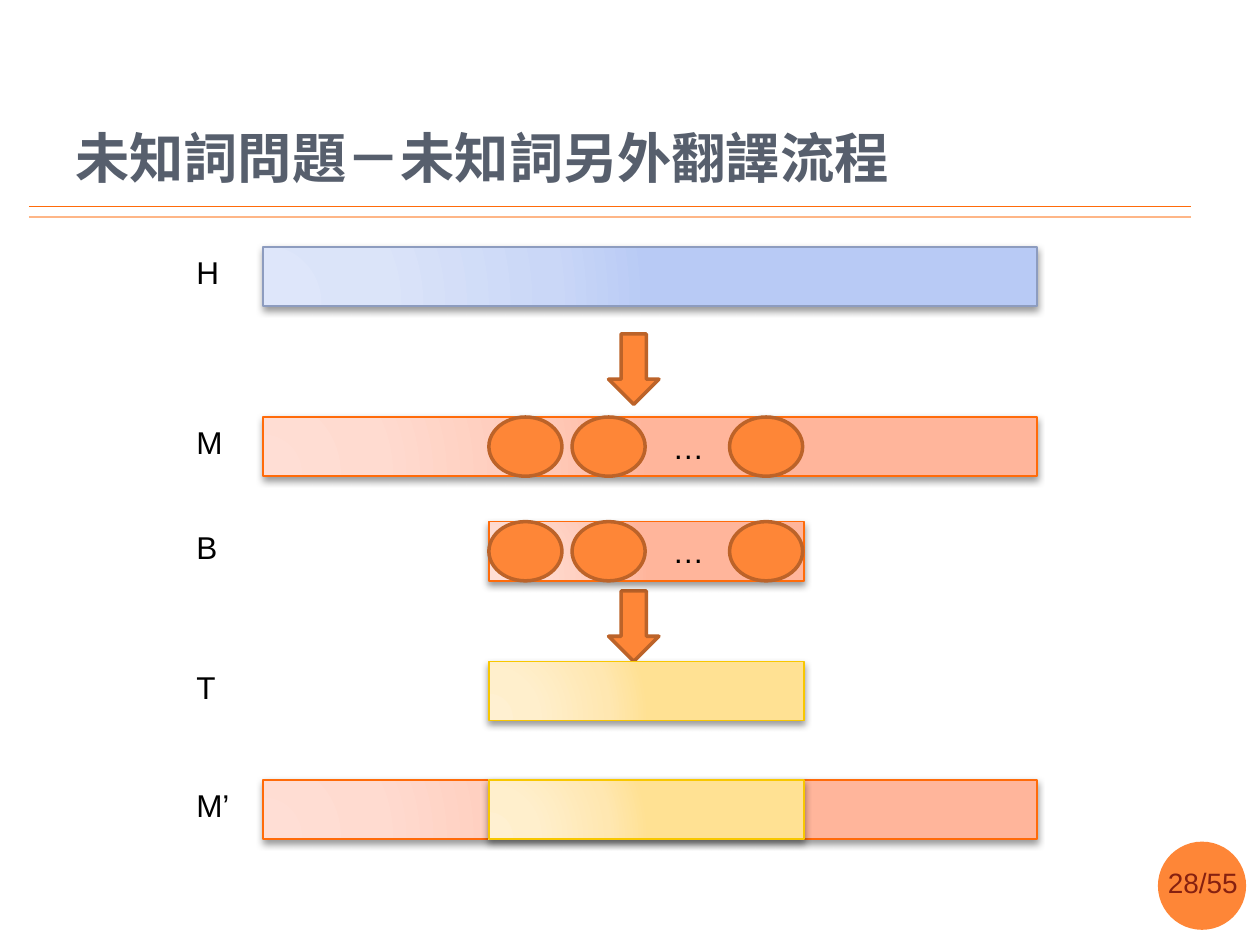
from pptx import Presentation
from pptx.dml.color import RGBColor
from pptx.enum.shapes import MSO_CONNECTOR as Connector, MSO_SHAPE as Preset
from pptx.enum.text import MSO_ANCHOR as Anchor, MSO_AUTO_SIZE as AutoSize
from pptx.oxml import parse_xml
from pptx.oxml.ns import nsdecls, qn
from pptx.util import Inches, Pt

COLUMNS, ROWS = 100, 75
BAR_HEIGHT = 4.7
FULL = (20.9, 61.4)
UNKNOWN = (38.8, 25)
BLUE = ("8D9CBF", ("DEE6FA", "DBE4F9", "CAD7F7", "B8CAF5"))
ORANGE = ("FF6B0A", ("FFDED5", "FFDBD0", "FFC8B6", "FFB59B"))
YELLOW = ("F8C700", ("FFF0D1", "FFEFCC", "FFE7B1", "FFE193"))
STOPS = (0, 30, 75, 100)


def color(value):
    return RGBColor.from_string(value)


def apply(target, values):
    for name, value in values.items():
        setattr(target, name, value)


class SlideBuilder:
    accent, accent_line = "FE8637", "BC6329"
    label_format = {"size": Pt(18), "name": "Arial"}
    number_format = {"size": Pt(16), "name": "Arial"}
    title_format = {"size": Pt(31), "name": "Noto Sans CJK SC", "bold": True}

    def __init__(self, presentation):
        self.slide = presentation.slides.add_slide(presentation.slide_layouts[6])
        self.column = presentation.slide_width / COLUMNS
        self.row = presentation.slide_height / ROWS

    def place(self, x, y, width, height):
        return [round(value * unit) for value, unit in
                zip((x, y, width, height), (self.column, self.row) * 2)]

    def rule(self, y, line):
        left, top, right, bottom = self.place(2.3, y, 94.5, y)
        connector = self.slide.shapes.add_connector(
            Connector.STRAIGHT, left, top, right, bottom)
        connector.line.color.rgb = color(line)
        connector.line.width = Pt(1)
        connector._element.spPr.append(parse_xml(f'<a:effectLst {nsdecls("a")}/>'))

    def shape(self, preset, box, line=None, parent=None):
        shapes = (parent or self.slide).shapes
        shape = shapes.add_shape(preset, *self.place(*box))
        shape.shadow.inherit = False
        shape.fill.solid()
        shape.fill.fore_color.rgb = color(self.accent)
        if line:
            shape.line.color.rgb = color(line)
            shape.line.width = Pt(2)
        else:
            shape.line.fill.background()
        return shape

    def bar(self, span, y, palette):
        line, shades = palette
        x, width = span
        shape = self.shape(Preset.RECTANGLE, (x, y, width, BAR_HEIGHT), line)
        shape.line.width = Pt(1)
        stops = "".join(
            f'<a:gs pos="{stop * 1000}"><a:srgbClr val="{shade}"/></a:gs>'
            for stop, shade in zip(STOPS, shades))
        gradient = parse_xml(
            f'<a:gradFill {nsdecls("a")} rotWithShape="1"><a:gsLst>{stops}</a:gsLst>'
            '<a:path path="circle"><a:fillToRect l="5000" t="100000" r="120000" '
            'b="10000"/></a:path></a:gradFill>')
        properties = shape._element.spPr
        properties.replace(properties.find(qn("a:solidFill")), gradient)
        properties.find(qn("a:effectLst")).append(parse_xml(
            f'<a:outerShdw {nsdecls("a")} blurRad="{Pt(4)}" dist="{Pt(2)}" '
            'dir="5400000" rotWithShape="0"><a:srgbClr val="000000">'
            '<a:alpha val="40000"/></a:srgbClr></a:outerShdw>'))

    def text(self, words, box, style, shade="000000", parent=None, **frame_format):
        shapes = (parent or self.slide).shapes
        frame = shapes.add_textbox(*self.place(*box)).text_frame
        apply(frame, {"word_wrap": False, "auto_size": AutoSize.SHAPE_TO_FIT_TEXT,
                      **frame_format})
        run = frame.paragraphs[0].add_run()
        run.text = words
        apply(run.font, style)
        run.font.color.rgb = color(shade)
        run._r.get_or_add_rPr().append(parse_xml(
            f'<a:ea {nsdecls("a")} typeface="{style["name"]}"/>'))

    def title(self, words):
        self.text(words, (5, 3, 86.4, 12.5), self.title_format, "575F6D",
                  word_wrap=True, auto_size=AutoSize.NONE,
                  vertical_anchor=Anchor.BOTTOM)

    def label(self, words, y, width):
        self.text(words, (14.6, y, width, 4), self.label_format)

    def arrow(self, y):
        self.shape(Preset.DOWN_ARROW, (48.3, y, 4, 5.6), self.accent_line)

    def word_group(self, y):
        group = self.slide.shapes.add_group_shape()
        for x in (45.4, 38.8, 57.9):
            self.shape(Preset.OVAL, (x, y, 5.8, BAR_HEIGHT), self.accent_line, group)
        self.text("…", (52.4, y + 0.35, 4.5, 4), self.label_format, parent=group)

    def page_number(self, words):
        self.shape(Preset.OVAL, (91.9, 66.8, 7, 7))
        self.text(words, (91.7, 68.2, 7.9, 3.7), self.number_format, "862110")


def main():
    presentation = Presentation()
    apply(presentation, {"slide_width": Inches(10), "slide_height": Inches(7.5)})
    builder = SlideBuilder(presentation)
    builder.rule(16.4, "FF6B0A")
    builder.rule(17.2, "FEB687")
    builder.page_number("28/55")
    builder.title("未知詞問題－未知詞另外翻譯流程")
    for y in (26.5, 46.9):
        builder.arrow(y)
    for words, width, y, bars, has_words in (
        ("H", 3.8, 19.6, ((FULL, BLUE),), False),
        ("M", 4.1, 33.1, ((FULL, ORANGE),), True),
        ("B", 3.7, 41.4, ((UNKNOWN, ORANGE),), True),
        ("T", 3.6, 52.5, ((UNKNOWN, YELLOW),), False),
        ("M’", 5, 61.9, ((FULL, ORANGE), (UNKNOWN, YELLOW)), False),
    ):
        builder.label(words, y, width)
        for span, palette in bars:
            builder.bar(span, y, palette)
        if has_words:
            builder.word_group(y)
    presentation.save("out.pptx")


if __name__ == "__main__":
    main()
